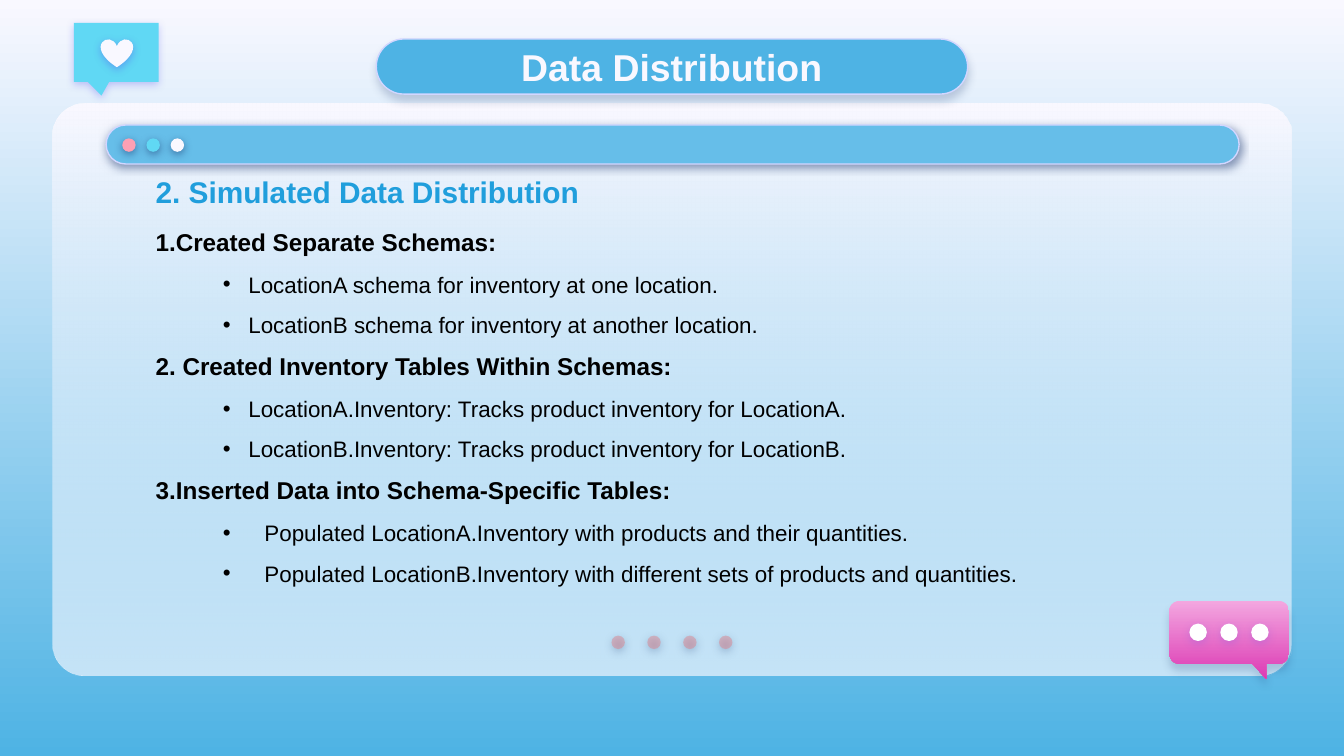
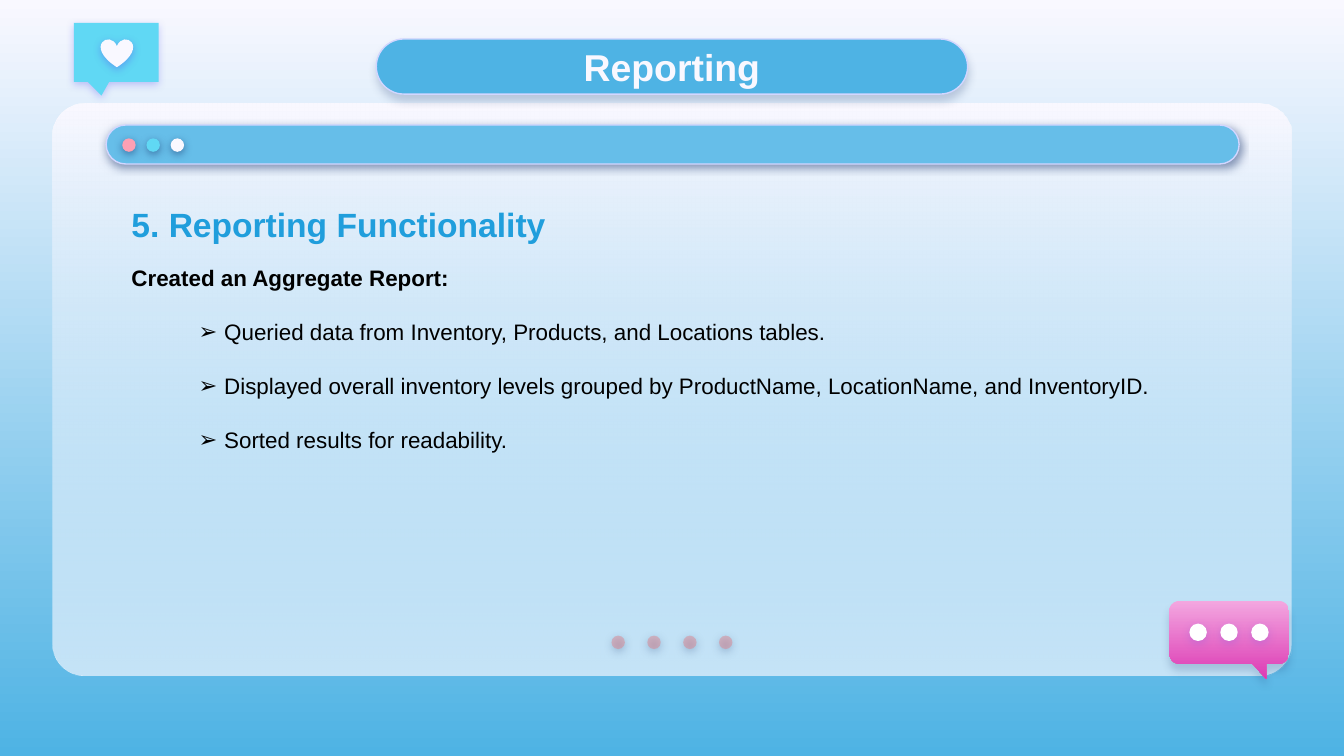
"""Build two slides on data distribution and reporting."""
from math import cos, radians, sin
from lxml.etree import SubElement
from pptx import Presentation
from pptx.dml.color import RGBColor
from pptx.enum.shapes import MSO_SHAPE as Kind
from pptx.enum.text import MSO_ANCHOR as Anchor, PP_ALIGN as Align
from pptx.oxml.ns import qn
from pptx.util import Emu, Inches, Pt

WIDE = 10
HIGH = WIDE * 9 / 16
FONT = "Arial"
HEX = {
    "pale": "F9F8FF", "blue": "4EB3E4", "bar": "66BEE9", "edge": "D2D6FF",
    "navy": "17336B", "violet": "5352EE", "rose": "E27B83", "pink": "FDA0B4",
    "cyan": "60D8F4", "light": "F3A7E0", "deep": "DC3BB4", "white": "FFFFFF",
    "head": "209EDC", "black": "000000",
}
SOFT = ("navy", 50, 1.5)
BAR_DOTS = ["pink", "cyan", "pale"]
SLIDES = [
    {
        "title": "Data Distribution", "box": (1.06, 1.24, 7.43, 3.66),
        "sizes": (16, 13, 12), "mark": "•", "lines": 1,
        "head": "2. Simulated Data Distribution",
        "parts": [
            ("1.Created Separate Schemas:", 3, 0.69, [
                "LocationA schema for inventory at one location.",
                "LocationB schema for inventory at another location."]),
            ("2. Created Inventory Tables Within Schemas:", 1, 0.69, [
                "LocationA.Inventory: Tracks product inventory for LocationA.",
                "LocationB.Inventory: Tracks product inventory for LocationB."]),
            ("3.Inserted Data into Schema-Specific Tables:", 1, 0.81, [
                "Populated LocationA.Inventory with products and their quantities.",
                "Populated LocationB.Inventory with different sets of products and quantities."]),
        ],
    },
    {
        "title": "Reporting", "box": (0.88, 1.47, 7.97, 3.26),
        "sizes": (18, 12, 12), "mark": "➢", "lines": 1.5,
        "head": "5. Reporting Functionality",
        "parts": [
            ("Created an Aggregate Report:", 1, 0.69, [
                "Queried data from Inventory, Products, and Locations tables.",
                "Displayed overall inventory levels grouped by ProductName, LocationName, and InventoryID.",
                "Sorted results for readability."]),
        ],
    },
]


def tint(name):
    return RGBColor.from_string(HEX[name])


def blend(fill, names):
    fill.gradient()
    fill.gradient_angle = 270
    for stop, name in zip(fill.gradient_stops, names):
        stop.color.rgb = tint(name)


def style(shape, fill, alpha=None, edge=None, glow=None):
    if isinstance(fill, tuple):
        blend(shape.fill, fill)
    else:
        shape.fill.solid()
        shape.fill.fore_color.rgb = tint(fill)
    props = shape.element.spPr
    if alpha:
        last = list(props.iter(qn("a:srgbClr")))[-1]
        SubElement(last, qn("a:alpha"), val=str(alpha * 1000))
    if edge:
        shape.line.color.rgb = tint(edge)
        shape.line.width = Pt(0.75)
    else:
        shape.line.fill.background()
    shape.shadow.inherit = False
    if glow:
        name, part, dist = glow
        cast = SubElement(props.find(qn("a:effectLst")), qn("a:outerShdw"),
                          blurRad=str(Pt(4.5)), dist=str(Pt(dist)),
                          dir="5400000", algn="bl", rotWithShape="0")
        color = SubElement(cast, qn("a:srgbClr"), val=HEX[name])
        SubElement(color, qn("a:alpha"), val=str(part * 1000))
    return shape


def add(slide, kind, box, fill, adjust=(), **look):
    shape = slide.shapes.add_shape(kind, *map(Inches, box))
    for i, value in enumerate(adjust):
        shape.adjustments[i] = value
    return style(shape, fill, **look)


def dots(slide, left, top, size, step, fills, **look):
    for i, fill in enumerate(fills):
        add(slide, Kind.OVAL, (left + i * step, top, size, size), fill, **look)


def chat(slide):
    left, top, right, base, turn = 8.7, 4.47, 9.59, 4.94, 0.08
    tail = [(9.42, base), (9.42, 5.05), (9.32, base)]
    hubs = [(right - turn, base - turn, 0), (left + turn, base - turn, 90),
            (left + turn, top + turn, 180), (right - turn, top + turn, 270)]
    arcs = [[(x + turn * cos(radians(start + a)), y + turn * sin(radians(start + a)))
             for a in range(0, 91, 10)] for x, y, start in hubs]
    points = arcs[0] + tail + arcs[1] + arcs[2] + arcs[3]
    spots = [(Inches(x), Inches(y)) for x, y in points]
    pen = slide.shapes.build_freeform(*spots[0])
    pen.add_line_segments(spots[1:], close=True)
    style(pen.convert_to_shape(), ("light", "deep"), glow=("navy", 18, 3.8))
    dots(slide, 8.85, 4.64, 0.13, 0.23, ["white"] * 3, glow=("violet", 18, 1.5))


def frame(slide, title):
    blend(slide.background.fill, ("pale", "blue"))
    panel = (0.39, 0.77, 9.22, 4.26)
    add(slide, Kind.ROUNDED_RECTANGLE, panel, "pale", [0.056])
    add(slide, Kind.ROUNDED_RECTANGLE, panel, ("pale", "bar"), [0.056], alpha=35)
    dots(slide, 4.55, 4.73, 0.1, 0.8 / 3, ["rose"] * 4, alpha=44, glow=SOFT)
    add(slide, Kind.ROUNDED_RECTANGLE, (0.79, 0.93, 8.43, 0.29), "bar", [0.5],
        edge="edge", glow=SOFT)
    dots(slide, 0.91, 1.03, 0.1, 0.18, BAR_DOTS, glow=SOFT)
    pill = add(slide, Kind.ROUNDED_RECTANGLE, (2.8, 0.29, 4.4, 0.41), "blue", [0.5],
               edge="edge", glow=("navy", 22, 3))
    text = pill.text_frame
    text.vertical_anchor = Anchor.MIDDLE
    text.margin_top = text.margin_bottom = Inches(0.1)
    para = text.paragraphs[0]
    para.alignment = Align.CENTER
    write(para, title, 20, "pale", True)
    add(slide, Kind.ROUNDED_RECTANGULAR_CALLOUT, (0.55, 0.17, 0.63, 0.44), "cyan",
        [-0.174, 0.731, 0], glow=("violet", 31, 1.5))
    add(slide, Kind.HEART, (0.75, 0.29, 0.24, 0.21), "pale", glow=("violet", 38, 1.5))
    chat(slide)


def write(para, text, size, color, bold):
    para.text = text
    font = para.font
    font.name, font.size, font.bold = FONT, Pt(size), bold
    font.color.rgb = tint(color)


def bullet(para, mark, level, left):
    para.level = level
    props = para._p.get_or_add_pPr()
    hang = left - 0.5
    props.set("marL", str(Inches(left)))
    props.set("indent", str(Emu(-Inches(hang))))
    SubElement(SubElement(props, qn("a:buClr")), qn("a:srgbClr"), val=HEX["black"])
    SubElement(props, qn("a:buFont"), typeface=FONT)
    SubElement(props, qn("a:buChar"), char=mark)


def body(slide, data):
    text = slide.shapes.add_textbox(*map(Inches, data["box"])).text_frame
    text.word_wrap = True
    big, mid, small = data["sizes"]

    def line(words, size, color="black", bold=True, item=None):
        para = text.add_paragraph() if text.text else text.paragraphs[0]
        if item:
            bullet(para, data["mark"], *item)
            para.line_spacing = float(data["lines"])
        para.space_after = Pt(0.6 * size)
        write(para, words, size, color, bold)

    line(data["head"], big, "head")
    for label, level, left, items in data["parts"]:
        line(label, mid)
        for words in items:
            line(words, small, bold=False, item=(level, left))


def main():
    deck = Presentation()
    deck.slide_width, deck.slide_height = Inches(WIDE), Inches(HIGH)
    for data in SLIDES:
        slide = deck.slides.add_slide(deck.slide_layouts[6])
        frame(slide, data["title"])
        body(slide, data)
    deck.save("out.pptx")


if __name__ == "__main__":
    main()
